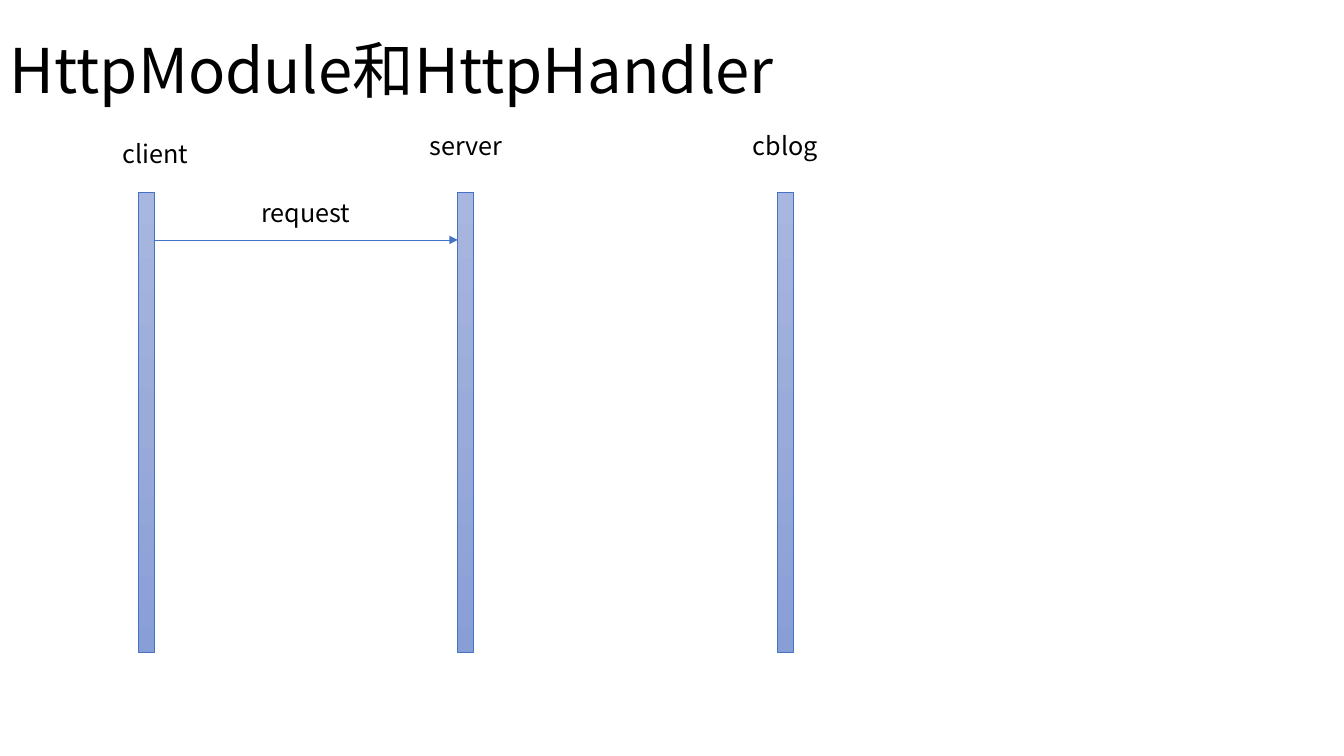
"""Build a slide with a client, server and cblog sequence diagram."""
from copy import deepcopy

from pptx import Presentation
from pptx.dml.color import RGBColor
from pptx.enum.shapes import MSO_CONNECTOR, MSO_SHAPE
from pptx.enum.text import MSO_ANCHOR, PP_ALIGN
from pptx.oxml.ns import qn
from pptx.util import Inches, Pt
from lxml import etree

TITLE = "HttpModule和HttpHandler"
LIFELINES = [("client", 0.09, 0.08), ("server", 0, 0), ("cblog", 0, 0)]
MESSAGES = [("request", 0, 1, 2.38)]

FONT = "Noto Sans CJK SC"
BLACK = RGBColor(0x00, 0x00, 0x00)
BLUE = RGBColor(0x44, 0x72, 0xC4)
BAR_GRADIENT = [
    (0, RGBColor(0xA8, 0xB7, 0xDF)),
    (0.5, RGBColor(0x9A, 0xAB, 0xD9)),
    (1, RGBColor(0x88, 0x9E, 0xD7)),
]
STRAIGHT = MSO_CONNECTOR.STRAIGHT
RECTANGLE = MSO_SHAPE.RECTANGLE
MIDDLE, TOP = MSO_ANCHOR.MIDDLE, MSO_ANCHOR.TOP
LEFT, CENTER = PP_ALIGN.LEFT, PP_ALIGN.CENTER

SLIDE_W, SLIDE_H = 13.33, 7.5
FIRST_CENTER, COLUMN_STEP = 1.45, 3.17
BAR_TOP, BAR_W, BAR_H = 1.91, 0.16, 4.56
LABEL_TOP, LABEL_W, LABEL_H = 1.24, 1.2, 0.4


def add_text(slide, words, box, size, align, anchor):
    frame = slide.shapes.add_textbox(*map(Inches, box)).text_frame
    frame.word_wrap = True
    frame.vertical_anchor = anchor
    frame.text = words
    paragraph = frame.paragraphs[0]
    paragraph.alignment = align
    font = paragraph.runs[0].font
    font.size, font.name = Pt(size), FONT
    font.color.rgb = BLACK
    east_asian = etree.SubElement(paragraph.runs[0].font._element, qn("a:ea"))
    east_asian.set("typeface", FONT)
    return paragraph


def add_label(slide, words, center, top):
    box = (center - LABEL_W / 2, top, LABEL_W, LABEL_H)
    add_text(slide, words, box, 18, CENTER, TOP)


def add_bar(slide, center):
    box = (center - BAR_W / 2, BAR_TOP, BAR_W, BAR_H)
    bar = slide.shapes.add_shape(RECTANGLE, *map(Inches, box))
    bar.shadow.inherit = False
    bar.line.color.rgb = BLUE
    bar.line.width = Pt(0.5)
    bar.fill.gradient()
    bar.fill.gradient_angle = 270
    stops = bar._element.spPr.find(qn("a:gradFill")).find(qn("a:gsLst"))
    stops.insert(1, deepcopy(stops[0]))
    for stop, (position, color) in zip(bar.fill.gradient_stops, BAR_GRADIENT):
        stop.position = position
        stop.color.rgb = color


def add_arrow(slide, start, end, y):
    arrow = slide.shapes.add_connector(
        STRAIGHT, Inches(start), Inches(y), Inches(end), Inches(y))
    arrow.line.color.rgb = BLUE
    arrow.line.width = Pt(0.5)
    head = etree.SubElement(arrow.line._get_or_add_ln(), qn("a:tailEnd"))
    head.set("type", "triangle")
    etree.SubElement(arrow._element.spPr, qn("a:effectLst"))


def main():
    deck = Presentation()
    deck.slide_width, deck.slide_height = Inches(SLIDE_W), Inches(SLIDE_H)
    slide = deck.slides.add_slide(deck.slide_layouts[6])
    title = add_text(slide, TITLE, (0, 0, 11.5, 1.45), 44, LEFT, MIDDLE)
    title.line_spacing = 0.9

    centers = [FIRST_CENTER + i * COLUMN_STEP for i in range(len(LIFELINES))]
    for center, (name, shift_x, shift_y) in zip(centers, LIFELINES):
        add_bar(slide, center)
        add_label(slide, name, center + shift_x, LABEL_TOP + shift_y)

    for words, sender, receiver, y in MESSAGES:
        start = centers[sender] + BAR_W / 2
        end = centers[receiver] - BAR_W / 2
        add_arrow(slide, start, end, y)
        add_label(slide, words, (start + end) / 2, BAR_TOP)

    deck.save("out.pptx")


if __name__ == "__main__":
    main()
